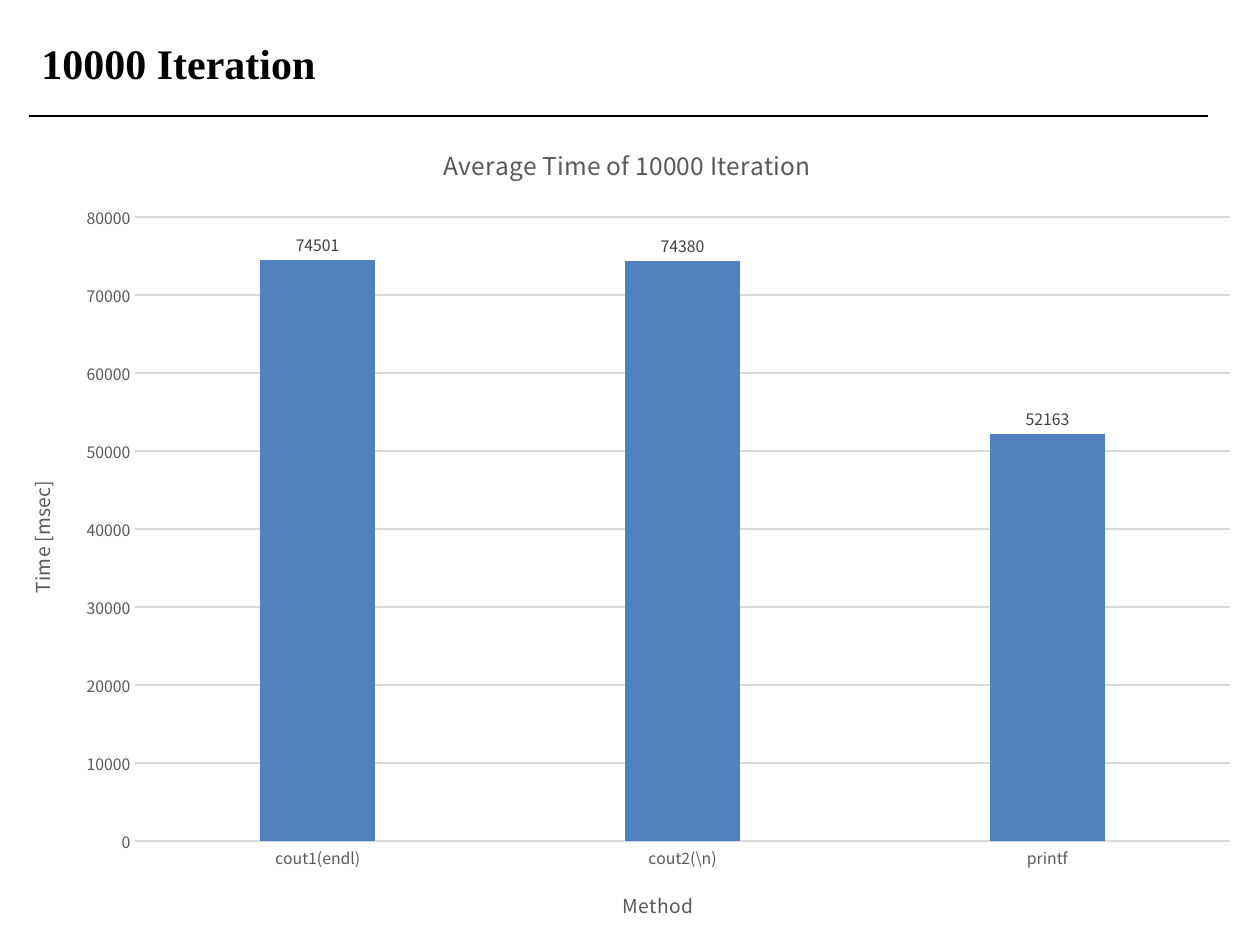
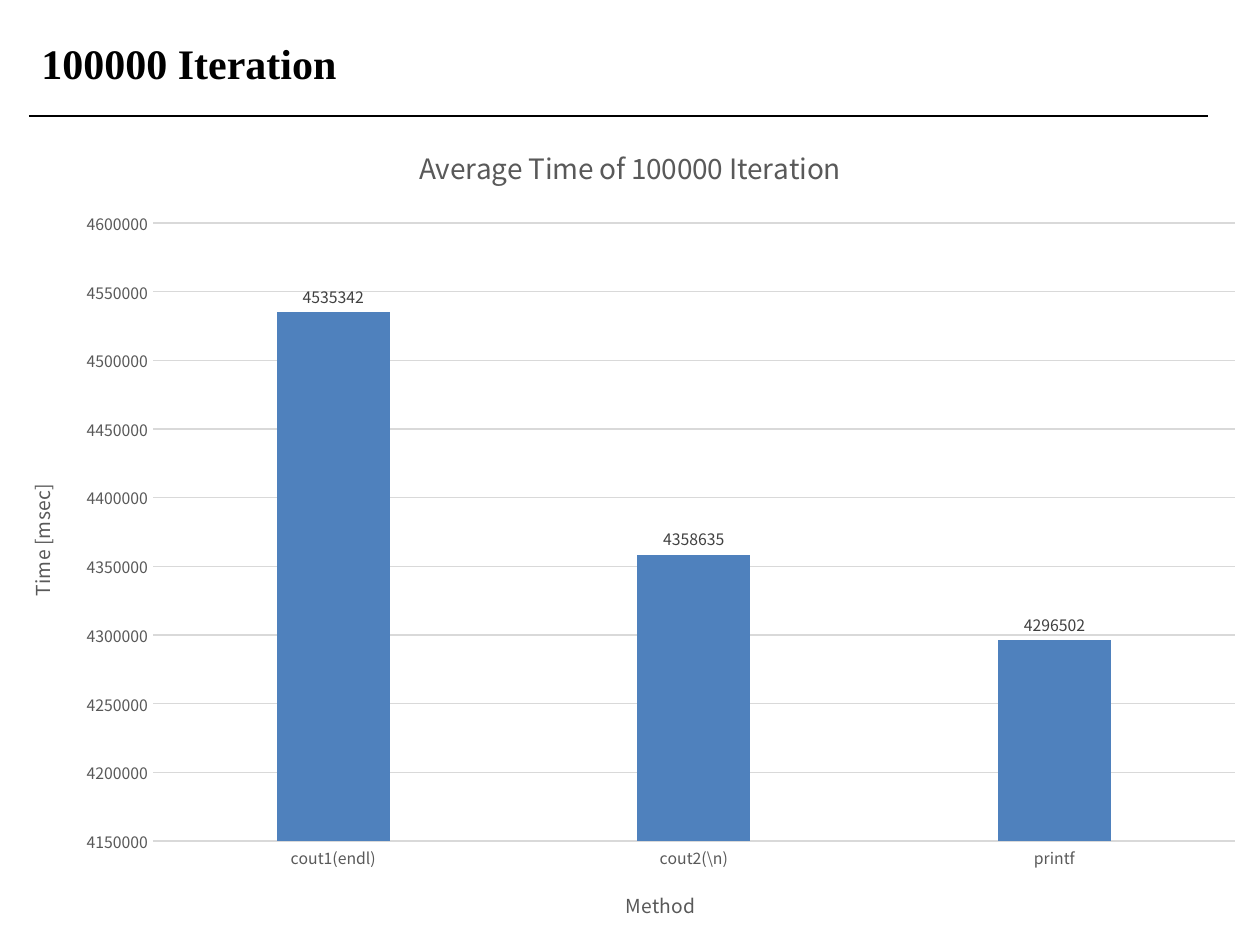
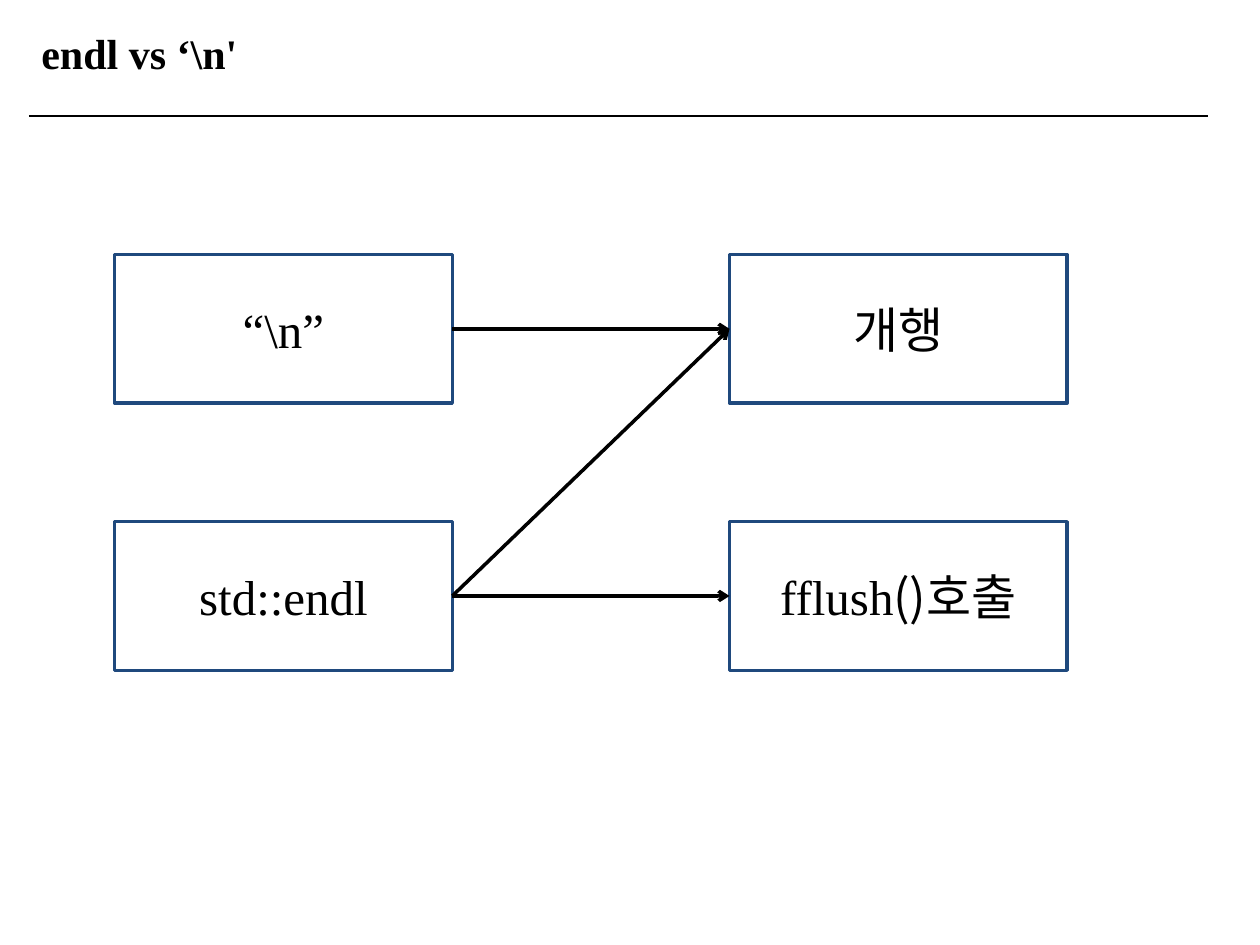
from lxml.etree import SubElement
from pptx import Presentation
from pptx.chart.data import CategoryChartData
from pptx.dml.color import RGBColor
from pptx.enum.chart import XL_CHART_TYPE, XL_LABEL_POSITION, XL_TICK_MARK
from pptx.enum.shapes import MSO_CONNECTOR, MSO_SHAPE
from pptx.enum.text import MSO_ANCHOR, MSO_AUTO_SIZE, PP_ALIGN
from pptx.oxml.ns import qn
from pptx.util import Inches, Pt

METHODS = ["cout1(endl)", "cout2(\\n)", "printf"]
BENCHMARKS = [
    {"title": "10000 Iteration", "heading": "Average Time of 10000 Iteration",
     "heading_size": 14, "times": [74501, 74380, 52163],
     "scale": (0, 80000, 10000), "width": 9.96},
    {"title": "100000 Iteration", "heading": "Average Time of 100000 Iteration",
     "heading_size": 16, "times": [4535342, 4358635, 4296502],
     "scale": (4150000, 4600000, 50000), "width": 10},
]
LATIN, KOREAN = "Times New Roman", "Noto Sans CJK KR"
COMPARISON_TITLE = "endl vs ‘\\n'"
STEPS = {
    (0, 0): [("“\\n”", LATIN)],
    (0, 1): [("개행", KOREAN)],
    (1, 0): [("std::endl", LATIN)],
    (1, 1): [("fflush", LATIN), ("()호출", KOREAN)],
}
FLOWS = [((0, 0), (0, 1)), ((1, 0), (0, 1)), ((1, 0), (1, 1))]

BLACK, WHITE, NAVY, BLUE = "000000", "FFFFFF", "1F497D", "4F81BD"
GRAY, DARK_GRAY, PALE_GRAY = "595959", "404040", "D9D9D9"
SLIDE_WIDTH, SLIDE_HEIGHT = 10, 7.5
MARGIN, RULE_TOP, RULE_RIGHT = 0.23, 0.92, 9.59
STEP_LEFT, STEP_TOP, STEP_WIDTH, STEP_HEIGHT = 0.91, 2.02, 2.68, 1.18
COLUMN_PITCH, ROW_PITCH = 4.88, 2.12


def color(value):
    return RGBColor.from_string(value)


def style_font(font, size, fill, name=KOREAN, bold=False):
    font.size, font.name, font.bold = Pt(size), name, bold
    font.color.rgb = color(fill)


def style_line(line, fill, width):
    line.color.rgb = color(fill)
    line.width = Pt(width)


def add_line(slide, start, end, width):
    line = slide.shapes.add_connector(
        MSO_CONNECTOR.STRAIGHT, *[Inches(v) for v in (*start, *end)])
    style_line(line.line, BLACK, width)
    SubElement(line._element.spPr, qn("a:effectLst"))
    return line


def add_slide(deck, title, top=0.25):
    slide = deck.slides.add_slide(deck.slide_layouts[6])
    heading = slide.shapes.add_textbox(
        Inches(MARGIN), Inches(top), Inches(SLIDE_WIDTH - MARGIN), Inches(0.5))
    frame = heading.text_frame
    frame.word_wrap = True
    frame.auto_size = MSO_AUTO_SIZE.SHAPE_TO_FIT_TEXT
    frame.text = title
    style_font(frame.paragraphs[0].runs[0].font, 24, BLACK, LATIN, True)
    add_line(slide, (MARGIN, RULE_TOP), (RULE_RIGHT, RULE_TOP), 0.75)
    return slide


def set_title(title, text, size):
    title.text_frame.text = text
    style_font(title.text_frame.paragraphs[0].runs[0].font, size, GRAY)


def style_axis(axis, title):
    axis.major_tick_mark = axis.minor_tick_mark = XL_TICK_MARK.NONE
    style_font(axis.tick_labels.font, 9, GRAY)
    set_title(axis.axis_title, title, 11)


def add_benchmark(deck, benchmark):
    slide = add_slide(deck, benchmark["title"])
    data = CategoryChartData()
    data.categories = METHODS
    data.add_series("Series 1", benchmark["times"])
    chart = slide.shapes.add_chart(
        XL_CHART_TYPE.COLUMN_CLUSTERED, 0, Inches(RULE_TOP),
        Inches(benchmark["width"]), Inches(SLIDE_HEIGHT - RULE_TOP), data).chart
    style_font(chart.font, 10, BLACK)
    chart.has_legend = False
    set_title(chart.chart_title, benchmark["heading"], benchmark["heading_size"])
    chart.chart_title.include_in_layout = False

    style_axis(chart.category_axis, "Method")
    style_line(chart.category_axis.format.line, PALE_GRAY, 0.75)
    time_axis = chart.value_axis
    style_axis(time_axis, "Time [msec]")
    time_axis.format.line.fill.background()
    style_line(time_axis.major_gridlines.format.line, PALE_GRAY, 0.75)
    (time_axis.minimum_scale, time_axis.maximum_scale,
     time_axis.major_unit) = benchmark["scale"]

    plot = chart.plots[0]
    plot.gap_width, plot.overlap, plot.vary_by_categories = 219, -27, False
    bars = plot.series[0]
    bars.format.fill.solid()
    bars.format.fill.fore_color.rgb = color(BLUE)
    labels = bars.data_labels
    labels.show_value = True
    labels.position = XL_LABEL_POSITION.OUTSIDE_END
    style_font(labels.font, 9, DARK_GRAY)


def add_step(slide, row, column, parts):
    step = slide.shapes.add_shape(
        MSO_SHAPE.RECTANGLE,
        Inches(STEP_LEFT + column * COLUMN_PITCH),
        Inches(STEP_TOP + row * ROW_PITCH),
        Inches(STEP_WIDTH), Inches(STEP_HEIGHT))
    step.shadow.inherit = False
    step.fill.solid()
    step.fill.fore_color.rgb = color(WHITE)
    style_line(step.line, NAVY, 2)
    step.text_frame.vertical_anchor = MSO_ANCHOR.MIDDLE
    paragraph = step.text_frame.paragraphs[0]
    paragraph.alignment = PP_ALIGN.CENTER
    for text, name in parts:
        run = paragraph.add_run()
        run.text = text
        style_font(run.font, 28, BLACK, name)
        if name == KOREAN:
            SubElement(run.font._element, qn("a:ea"), typeface=name)
    return step


def add_comparison(deck):
    slide = add_slide(deck, COMPARISON_TITLE, 0.17)
    steps = {cell: add_step(slide, *cell, parts) for cell, parts in STEPS.items()}
    for source, target in FLOWS:
        arrow = add_line(slide, (0, 0), (1, 1), 2)
        arrow.begin_connect(steps[source], 3)
        arrow.end_connect(steps[target], 1)
        SubElement(arrow.line._get_or_add_ln(), qn("a:tailEnd"), type="arrow")


def main():
    deck = Presentation()
    deck.slide_width, deck.slide_height = Inches(SLIDE_WIDTH), Inches(SLIDE_HEIGHT)
    for benchmark in BENCHMARKS:
        add_benchmark(deck, benchmark)
    add_comparison(deck)
    deck.save("out.pptx")


if __name__ == "__main__":
    main()
